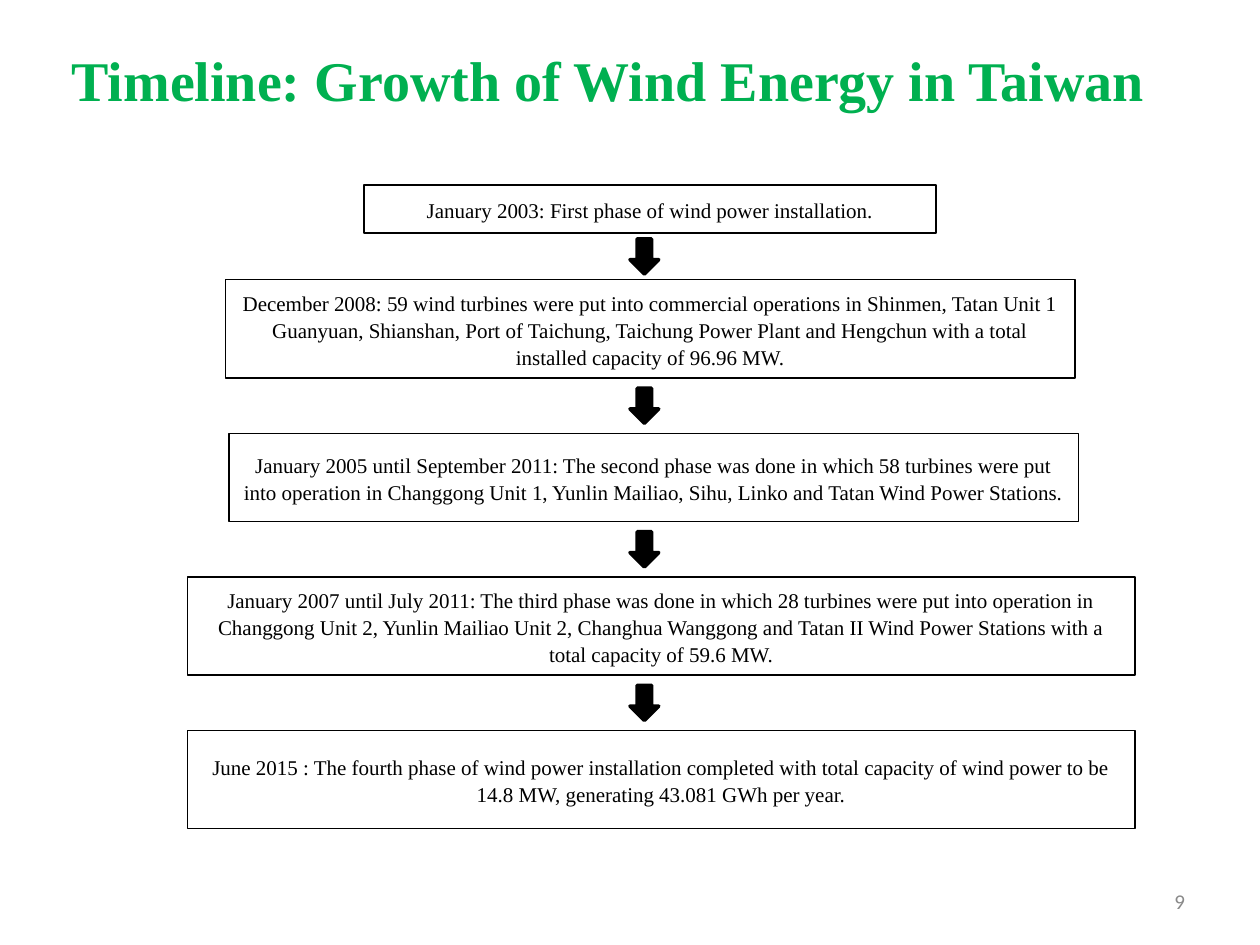
"""Build the slide with the timeline of wind energy in Taiwan."""
from itertools import pairwise

from lxml.etree import SubElement
from pptx import Presentation
from pptx.dml.color import RGBColor
from pptx.enum.shapes import MSO_SHAPE
from pptx.enum.text import MSO_ANCHOR, PP_ALIGN
from pptx.util import Cm, Pt

BLACK = RGBColor(0x00, 0x00, 0x00)
GREEN = RGBColor(0x00, 0xB0, 0x50)
GREY = RGBColor(0x89, 0x89, 0x89)
SERIF = "Times New Roman"

TITLE = "Timeline: Growth of Wind Energy in Taiwan"
PAGE_NUMBER = "9"
PHASES = [
    ("January 2003: First phase of wind power installation.",
     (7.34, 3.73, 11.53, 0.97)),
    ("December 2008: 59 wind turbines were put into commercial operations in "
     "Shinmen, Tatan Unit 1 Guanyuan, Shianshan, Port of Taichung, Taichung "
     "Power Plant and Hengchun with a total installed capacity of 96.96 MW.",
     (4.55, 5.64, 17.12, 1.98)),
    ("January 2005 until September 2011: The second phase was done in which "
     "58 turbines were put into operation in Changgong Unit 1, Yunlin "
     "Mailiao, Sihu, Linko and Tatan Wind Power Stations.",
     (4.62, 8.74, 17.12, 1.78)),
    ("January 2007 until July 2011: The third phase was done in which 28 "
     "turbines were put into operation in Changgong Unit 2, Yunlin Mailiao "
     "Unit 2, Changhua Wanggong and Tatan II Wind Power Stations with a "
     "total capacity of 59.6 MW.",
     (3.78, 11.63, 19.1, 1.98)),
    ("June 2015 : The fourth phase of wind power installation completed with "
     "total capacity of wind power to be 14.8 MW, generating 43.081 GWh per "
     "year.",
     (3.78, 14.73, 19.1, 1.98)),
]
ARROW_LEFT, ARROW_WIDTH, ARROW_HEIGHT = 12.7, 0.58, 0.71


def write(shape, text, font_name, size, color, alignment, bold=False):
    frame = shape.text_frame
    frame.text = text
    frame.word_wrap = True
    frame.vertical_anchor = MSO_ANCHOR.MIDDLE
    para = frame.paragraphs[0]
    para.alignment = alignment
    para.font.name = font_name
    para.font.size = Pt(size)
    para.font.bold = bold
    para.font.color.rgb = color
    return para


def add_outlined(page, kind, place, line_width):
    shape = page.shapes.add_shape(kind, *map(Cm, place))
    shape.shadow.inherit = False
    shape.line.color.rgb = BLACK
    shape.line.width = Pt(line_width)
    return shape


def add_phase(page, text, place):
    box = add_outlined(page, MSO_SHAPE.RECTANGLE, place, 0.75)
    box.fill.background()
    para = write(box, text, SERIF, 12, BLACK, PP_ALIGN.CENTER)
    para.line_spacing = 1.07


def add_arrow(page, upper, lower):
    gap_middle = (upper[1] + upper[3] + lower[1]) / 2
    place = (ARROW_LEFT, gap_middle - ARROW_HEIGHT / 2, ARROW_WIDTH, ARROW_HEIGHT)
    arrow = add_outlined(page, MSO_SHAPE.DOWN_ARROW, place, 2)
    arrow.fill.solid()
    arrow.fill.fore_color.rgb = BLACK


def main():
    deck = Presentation()
    deck.slide_width, deck.slide_height = Cm(25.4), Cm(19.05)
    page = deck.slides.add_slide(deck.slide_layouts[5])

    title = page.shapes.title
    title.left, title.top, title.width, title.height = map(Cm, (1.19, 0, 22.94, 3.18))
    write(title, TITLE, SERIF, 32, GREEN, PP_ALIGN.LEFT, bold=True)

    number = page.shapes.add_textbox(*map(Cm, (18.21, 17.65, 5.93, 1.02)))
    write(number, PAGE_NUMBER, "Calibri", 12, GREY, PP_ALIGN.RIGHT)

    for text, place in PHASES:
        add_phase(page, text, place)
    for (_, upper), (_, lower) in pairwise(PHASES):
        add_arrow(page, upper, lower)

    deck.save("out.pptx")


if __name__ == "__main__":
    main()
